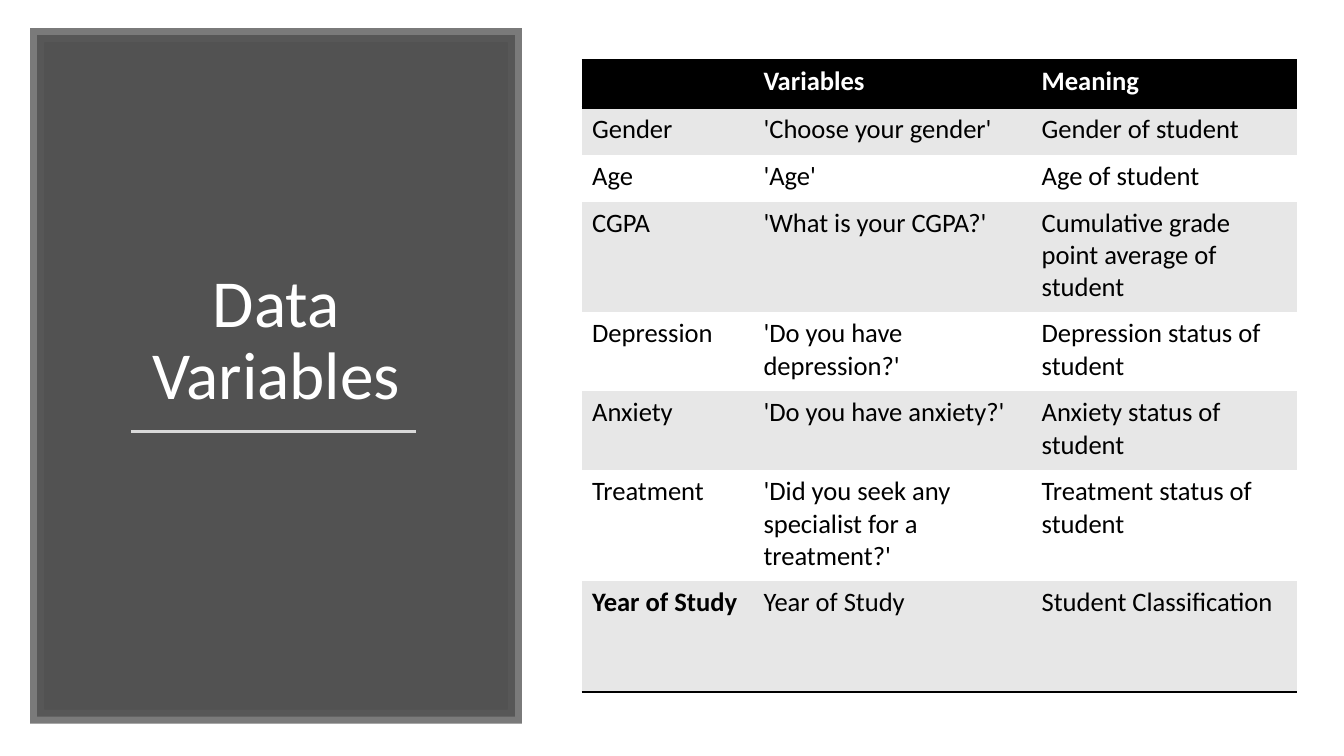
"""Build the Data Variables slide: a dark title panel beside a table of survey variables."""
from lxml.etree import SubElement
from pptx import Presentation
from pptx.dml.color import RGBColor
from pptx.enum.shapes import MSO_CONNECTOR, MSO_SHAPE
from pptx.enum.text import MSO_ANCHOR, PP_ALIGN
from pptx.oxml.ns import qn
from pptx.util import Pt

TITLE = "Data Variables"
ROWS = [
    ("", "Variables", "Meaning"),
    ("Gender", "'Choose your gender'", "Gender of\u00a0student"),
    ("Age", "'Age'", "Age of student"),
    ("CGPA", "'What is your CGPA?'", "Cumulative\u00a0grade point average of student"),
    ("Depression", "'Do you have depression?'", "Depression status of student\u00a0"),
    ("Anxiety", "'Do you have anxiety?'", "Anxiety status of student\u00a0"),
    ("Treatment", "'Did you seek any specialist for a treatment?'", "Treatment status of student"),
    ("Year of Study", "Year of Study", "Student Classification"),
]
COLUMN_WIDTHS = (122.4, 198.7, 190.1)
LINE_HEIGHT, ROW_PADDING = 22.8, 10.8
ROW_LINES = (1, 1, 1, 3, 2, 2, 3, 3)
TABLE_LEFT, TABLE_TOP = 415.4, 43.2
PANEL_BOX = (26.6, 25.2, 341.3, 486.7)
TITLE_BOX = (53.3, 72, 288, 227.5)
RULE_ENDS = (93.6, 308.2, 297.4, 308.2)
BLACK, WHITE, BAND = "000000", "FFFFFF", "E7E7E7"
PLAIN_STYLE = "{2D5ABB26-0587-4C30-8999-92F81FD0307C}"


def color(value):
    return RGBColor.from_string(value)


def points(values):
    return [Pt(value) for value in values]


def apply(target, settings):
    for name, value in settings.items():
        setattr(target, name, value)


def paint(fill, value):
    fill.solid()
    fill.fore_color.rgb = color(value)


def fade(parent, percent):
    tint = next(parent.iter(qn("a:srgbClr")))
    SubElement(tint, qn("a:alpha"), val=str(percent * 1000))


def write(para, text, size, tone, bold=False):
    span = para.add_run()
    span.text = text
    apply(span.font, {"name": "Calibri", "size": Pt(size), "bold": bold})
    span.font.color.rgb = color(tone)


def add_border(cell, side):
    border = SubElement(cell._tc.get_or_add_tcPr(), qn(f"a:ln{side}"), w=str(Pt(2)))
    fill = SubElement(border, qn("a:solidFill"))
    SubElement(fill, qn("a:srgbClr"), val=BLACK)


def add_panel(slide):
    panel = slide.shapes.add_shape(MSO_SHAPE.RECTANGLE, *points(PANEL_BOX))
    panel.shadow.inherit = False
    paint(panel.fill, "404040")
    fade(panel._element.spPr.find(qn("a:solidFill")), 90)
    paint(panel.line.fill, "595959")
    panel.line.width = Pt(10)
    outline = panel._element.spPr.find(qn("a:ln"))
    fade(outline, 80)
    SubElement(outline, qn("a:miter"), lim="800000")
    slide.shapes.title._element.addprevious(panel._element)


def add_title(slide):
    title = slide.shapes.title
    apply(title, dict(zip(("left", "top", "width", "height"), points(TITLE_BOX))))
    apply(title.text_frame, {"vertical_anchor": MSO_ANCHOR.BOTTOM, "word_wrap": True})
    para = title.text_frame.paragraphs[0]
    apply(para, {"alignment": PP_ALIGN.CENTER, "line_spacing": 0.9})
    write(para, TITLE, 48, WHITE)


def add_rule(slide):
    rule = slide.shapes.add_connector(MSO_CONNECTOR.STRAIGHT, *points(RULE_ENDS))
    rule.line.color.rgb = color("D9D9D9")
    rule.line.width = Pt(1.75)
    SubElement(rule._element.spPr, qn("a:effectLst"))


def add_variables(slide):
    heights = [ROW_PADDING + LINE_HEIGHT * lines for lines in ROW_LINES]
    size = points((TABLE_LEFT, TABLE_TOP, sum(COLUMN_WIDTHS), sum(heights)))
    table = slide.shapes.add_table(len(ROWS), len(COLUMN_WIDTHS), *size).table
    table._tbl.tblPr.find(qn("a:tableStyleId")).text = PLAIN_STYLE
    for column, width in zip(table.columns, COLUMN_WIDTHS):
        column.width = Pt(width)
    last = len(ROWS) - 1
    margins = {"margin_left": Pt(7.6), "margin_right": Pt(7.6),
               "margin_top": Pt(3.8), "margin_bottom": Pt(3.8)}
    for index, texts in enumerate(ROWS):
        table.rows[index].height = Pt(heights[index])
        header = index == 0
        sides = "TB" if header else "B" if index == last else ""
        background = BLACK if header else BAND if index % 2 else WHITE
        for position, text in enumerate(texts):
            cell = table.cell(index, position)
            apply(cell, margins)
            for side in sides:
                add_border(cell, side)
            paint(cell.fill, background)
            if text:
                bold = header or (index == last and position == 0)
                write(cell.text_frame.paragraphs[0], text, 19, WHITE if header else BLACK, bold)


deck = Presentation()
apply(deck, {"slide_width": Pt(960), "slide_height": Pt(540)})
page = deck.slides.add_slide(deck.slide_layouts[5])
for build in (add_panel, add_title, add_rule, add_variables):
    build(page)
deck.save("out.pptx")
